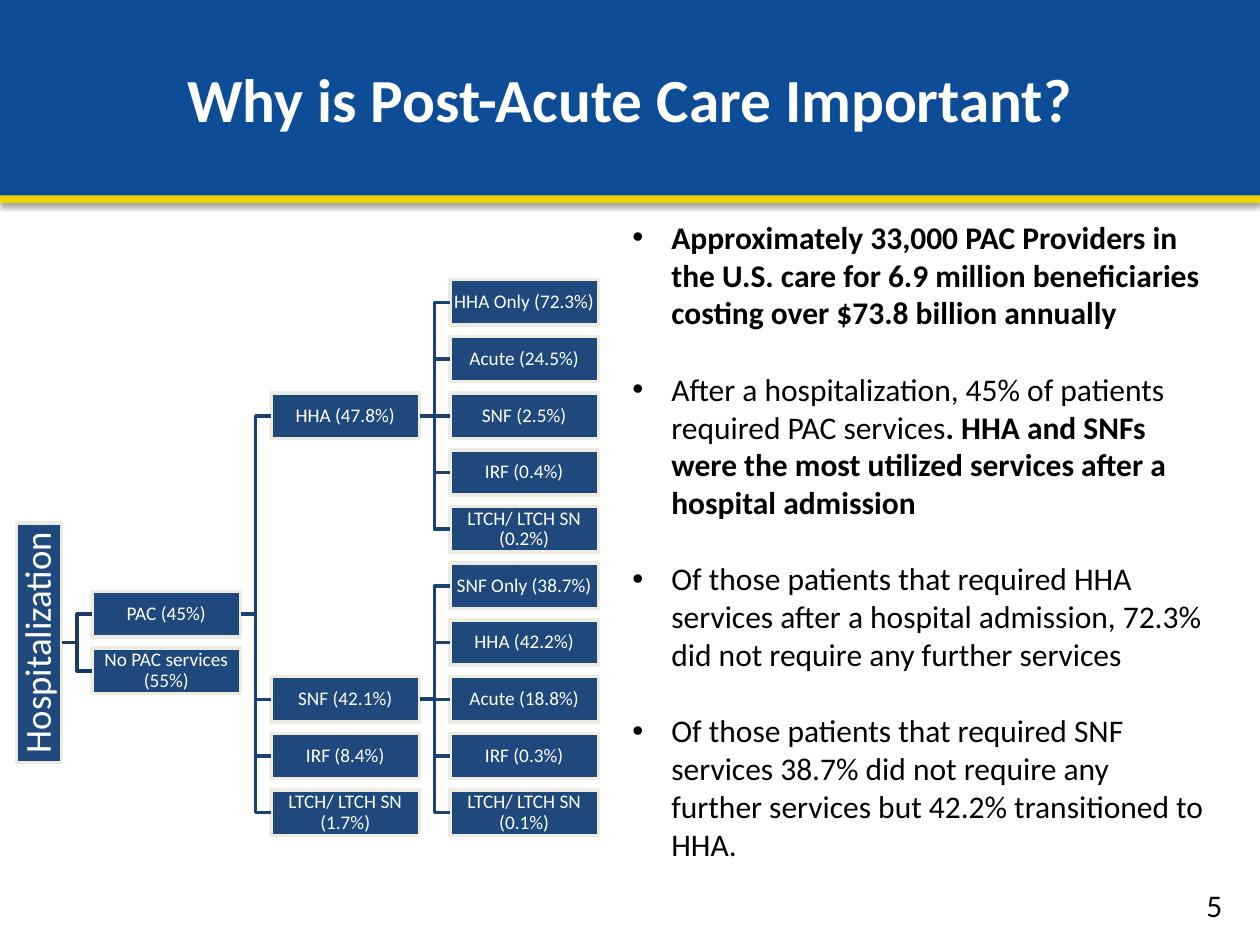
from dataclasses import dataclass

from lxml import etree
from pptx import Presentation
from pptx.dml.color import RGBColor
from pptx.enum import shapes, text
from pptx.oxml import ns
from pptx.util import Inches, Pt


@dataclass(frozen=True)
class Theme:
    font: str = "Calibri"
    banner: str = "0D4C97"
    rule: str = "ECD208"
    box: str = "1F497D"
    border: str = "EEECE1"
    root_link: str = "193A64"
    link: str = "1C4271"
    light: str = "FFFFFF"
    dark: str = "000000"
    title_size: int = 35
    root_size: int = 21
    box_size: int = 11
    body_size: int = 18


@dataclass
class Node:
    label: str
    row: float = 0
    children: tuple = ()


THEME = Theme()
BOX_W, BOX_H, ROOT_LENGTH = 1.18, 0.36, 1.9
FIRST_ROW, ROW_STEP = 2.4, 0.45
FIRST_COLUMN, COLUMN_STEP = 0.73, 1.42
LINK_SPAN = 0.24


def siblings(first_row, labels):
    """Return childless nodes on consecutive rows."""
    return tuple(Node(label, first_row + i) for i, label in enumerate(labels))


HHA_NEXT = siblings(0, ["HHA Only (72.3%)", "Acute (24.5%)", "SNF (2.5%)",
                        "IRF (0.4%)", "LTCH/ LTCH SN (0.2%)"])
SNF_NEXT = siblings(5, ["SNF Only (38.7%)", "HHA (42.2%)", "Acute (18.8%)",
                        "IRF (0.3%)", "LTCH/ LTCH SN (0.1%)"])
PAC_SERVICES = (
    Node("HHA (47.8%)", 2, HHA_NEXT),
    Node("SNF (42.1%)", 7, SNF_NEXT),
    *siblings(8, ["IRF (8.4%)", "LTCH/ LTCH SN (1.7%)"]),
)
HOSPITALIZATION = Node("Hospitalization", 6, (
    Node("PAC (45%)", 5.5, PAC_SERVICES),
    Node("No PAC services (55%)", 6.5),
))
FINDINGS = [
    [("Approximately 33,000 PAC Providers in the U.S. care for 6.9 million "
      "beneficiaries costing over $73.8 billion annually", True)],
    [("After a hospitalization, 45% of patients required PAC services", False),
     (". HHA and SNFs were the most utilized services after a hospital admission", True)],
    [("Of those patients that required HHA services after a hospital admission, "
      "72.3% did not require any further services", False)],
    [("Of those patients that required SNF services 38.7% did not require any "
      "further services but 42.2% transitioned to HHA.", False)],
]


def apply_format(target, values):
    """Set every attribute named in a dict of format values."""
    for name, value in values.items():
        setattr(target, name, value)


def add_run(paragraph, words, size, color, bold=False):
    """Append one styled run to a paragraph."""
    run = paragraph.add_run()
    run.text = words
    apply_format(run.font, {"name": THEME.font, "size": Pt(size), "bold": bold})
    run.font.color.rgb = RGBColor.from_string(color)


def style_line(line, color, width):
    """Give a line its colour and width."""
    line.color.rgb = RGBColor.from_string(color)
    line.width = Pt(width)


def add_effects(connector):
    """Replace the theme shadow of a connector by an empty effect list."""
    return etree.SubElement(connector._element.spPr, ns.qn("a:effectLst"))


def add_panel(slide, box, words, fill, size, bold=False):
    """Add a filled rectangle with one centred line of text."""
    panel = slide.shapes.add_shape(shapes.MSO_SHAPE.RECTANGLE, *map(Inches, box))
    panel.shadow.inherit = False
    panel.fill.solid()
    panel.fill.fore_color.rgb = RGBColor.from_string(fill)
    panel.line.fill.background()
    apply_format(panel.text_frame, {"word_wrap": True,
                                    "vertical_anchor": text.MSO_ANCHOR.MIDDLE})
    paragraph = panel.text_frame.paragraphs[0]
    paragraph.alignment = text.PP_ALIGN.CENTER
    add_run(paragraph, words, size, THEME.light, bold)
    return panel


def add_text_area(slide, box):
    """Add a wrapping text box and return its frame."""
    frame = slide.shapes.add_textbox(*map(Inches, box)).text_frame
    frame.word_wrap = True
    return frame


def add_rule(slide):
    """Add the yellow rule and its soft shadow below the banner."""
    rule = slide.shapes.add_connector(
        shapes.MSO_CONNECTOR.STRAIGHT, 0, Inches(1.57), Inches(10), Inches(1.57))
    style_line(rule.line, THEME.rule, 6)
    shadow = etree.SubElement(add_effects(rule), ns.qn("a:outerShdw"),
                              blurRad=str(Pt(3.1)), dist=str(Pt(1.6)),
                              dir="5400000", rotWithShape="0")
    color = etree.SubElement(shadow, ns.qn("a:srgbClr"), val=THEME.dark)
    etree.SubElement(color, ns.qn("a:alpha"), val="38000")


def row_center(node):
    """Return the vertical centre of a node in inches."""
    return FIRST_ROW + node.row * ROW_STEP


def add_node_box(slide, node, level):
    """Add the box of a node, turned upright at the root."""
    is_root = level == 0
    width = ROOT_LENGTH if is_root else BOX_W
    left = (FIRST_COLUMN - LINK_SPAN - (BOX_H + ROOT_LENGTH) / 2 if is_root
            else FIRST_COLUMN + (level - 1) * COLUMN_STEP)
    box = add_panel(slide, (left, row_center(node) - BOX_H / 2, width, BOX_H),
                    node.label, THEME.box,
                    THEME.root_size if is_root else THEME.box_size)
    box.rotation = 270 if is_root else 0
    style_line(box.line, THEME.border, 2)
    inset = Inches(0.01)
    apply_format(box.text_frame, {"margin_left": inset, "margin_right": inset,
                                  "margin_top": inset, "margin_bottom": inset})
    box.text_frame.paragraphs[0].line_spacing = 0.9
    return box


def add_straight_link(slide, parent_box, child_box):
    """Join two boxes that lie on the same row."""
    link = slide.shapes.add_connector(shapes.MSO_CONNECTOR.STRAIGHT, 0, 0, 0, 0)
    link.begin_connect(parent_box, 3)
    link.end_connect(child_box, 1)
    add_effects(link)
    return link


def add_elbow_link(slide, parent, child, level):
    """Draw the bent link from a parent to a child on another row."""
    end = FIRST_COLUMN + level * COLUMN_STEP
    start, bend = end - LINK_SPAN, end - LINK_SPAN / 2
    top, bottom = row_center(parent), row_center(child)
    outline = slide.shapes.build_freeform(Inches(start), Inches(top))
    outline.add_line_segments([(Inches(x), Inches(y)) for x, y in
                               [(bend, top), (bend, bottom), (end, bottom)]], close=False)
    link = outline.convert_to_shape()
    link.shadow.inherit = False
    link.fill.background()
    return link


def add_tree(slide, node, level=0):
    """Add a node, its descendants and the links between them."""
    node_box = add_node_box(slide, node, level)
    for child in node.children:
        child_box = add_tree(slide, child, level + 1)
        if child.row == node.row:
            link = add_straight_link(slide, node_box, child_box)
        else:
            link = add_elbow_link(slide, node, child, level)
        style_line(link.line, THEME.link if level else THEME.root_link, 2)
    return node_box


def add_findings(slide):
    """Add the bulleted findings beside the tree."""
    frame = add_text_area(slide, (4.92, 1.68, 4.75, 5.25))
    for index, finding in enumerate(FINDINGS):
        paragraph = frame.paragraphs[0] if index == 0 else frame.add_paragraph()
        paragraph.space_before = Pt(22 if index else 0)
        properties = paragraph._p.get_or_add_pPr()
        properties.set("marL", str(Inches(0.31)))
        properties.set("indent", str(-Inches(0.31)))
        etree.SubElement(properties, ns.qn("a:buFont"), typeface="Arial")
        etree.SubElement(properties, ns.qn("a:buChar"), char="•")
        for words, bold in finding:
            add_run(paragraph, words, THEME.body_size, THEME.dark, bold)


def add_slide_number(slide):
    """Add the slide number at the lower right."""
    frame = add_text_area(slide, (8.72, 6.98, 1.08, 0.4))
    frame.vertical_anchor = text.MSO_ANCHOR.MIDDLE
    frame.paragraphs[0].alignment = text.PP_ALIGN.RIGHT
    add_run(frame.paragraphs[0], "5", THEME.body_size, THEME.dark)


def main():
    """Build and save the slide."""
    deck = Presentation()
    apply_format(deck, {"slide_width": Inches(10), "slide_height": Inches(7.5)})
    slide = deck.slides.add_slide(deck.slide_layouts[6])
    add_rule(slide)
    add_slide_number(slide)
    add_panel(slide, (0, 0, 10, 1.55), "Why is Post-Acute Care Important?",
              THEME.banner, THEME.title_size, bold=True)
    add_tree(slide, HOSPITALIZATION)
    add_findings(slide)
    deck.save("out.pptx")


if __name__ == "__main__":
    main()
